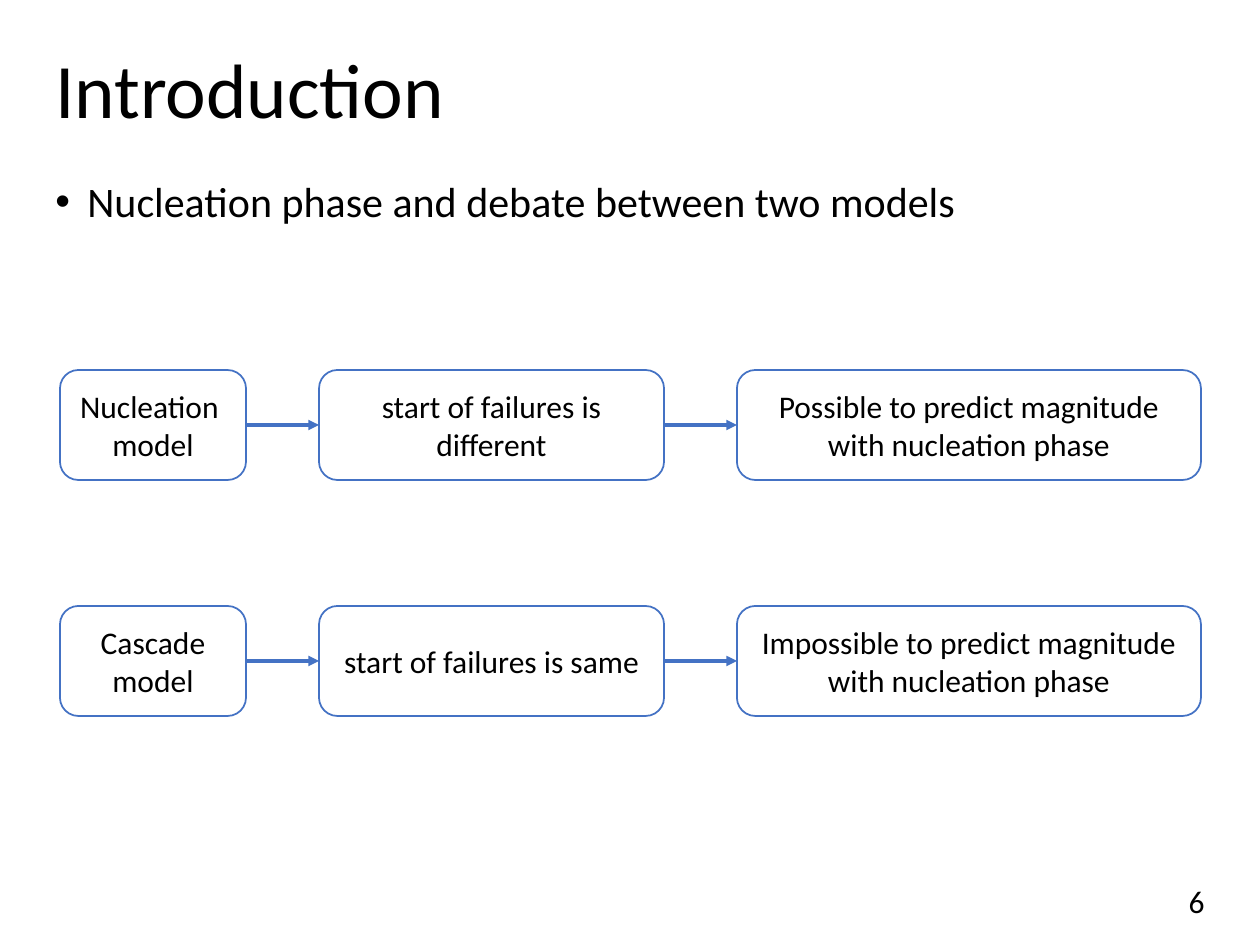
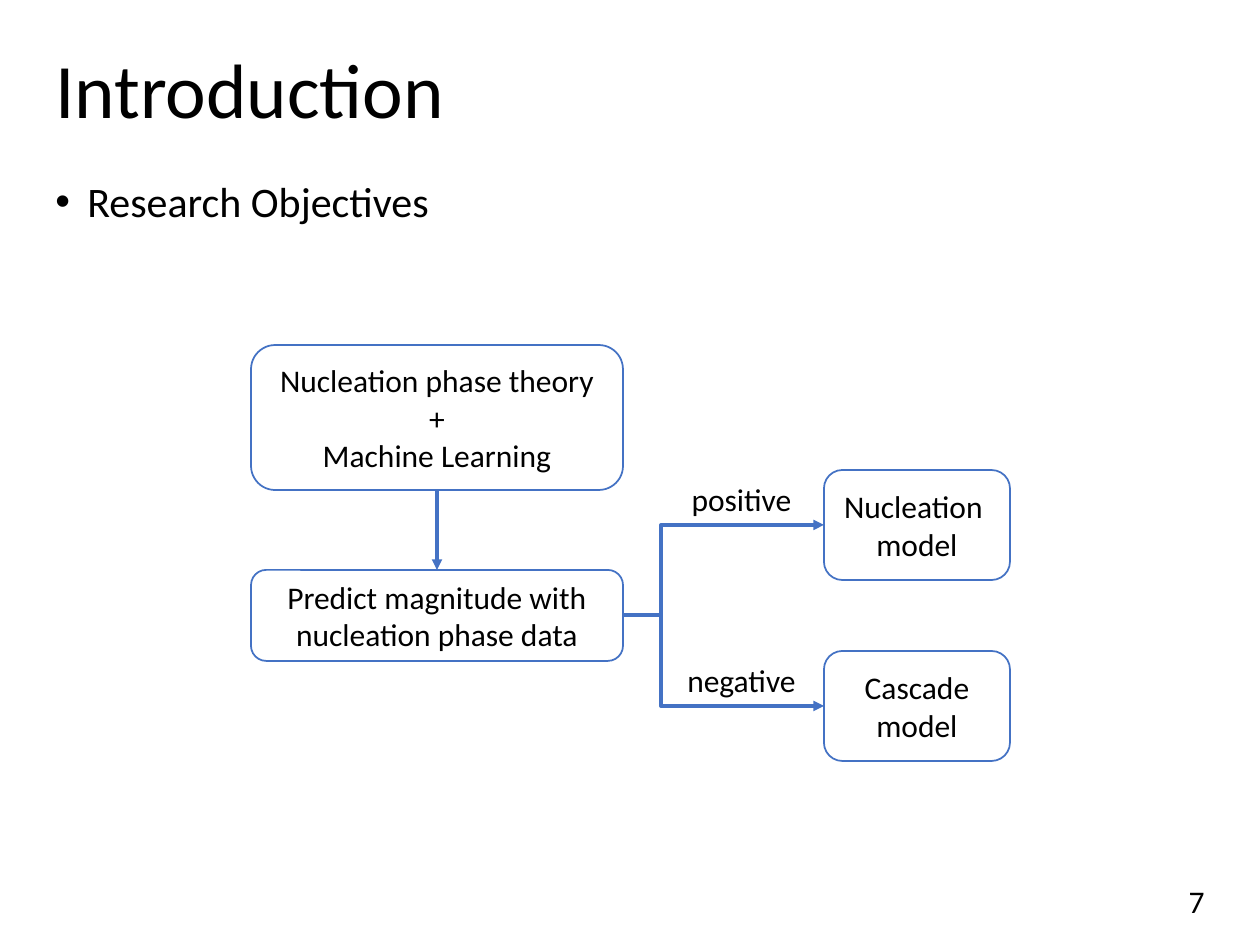
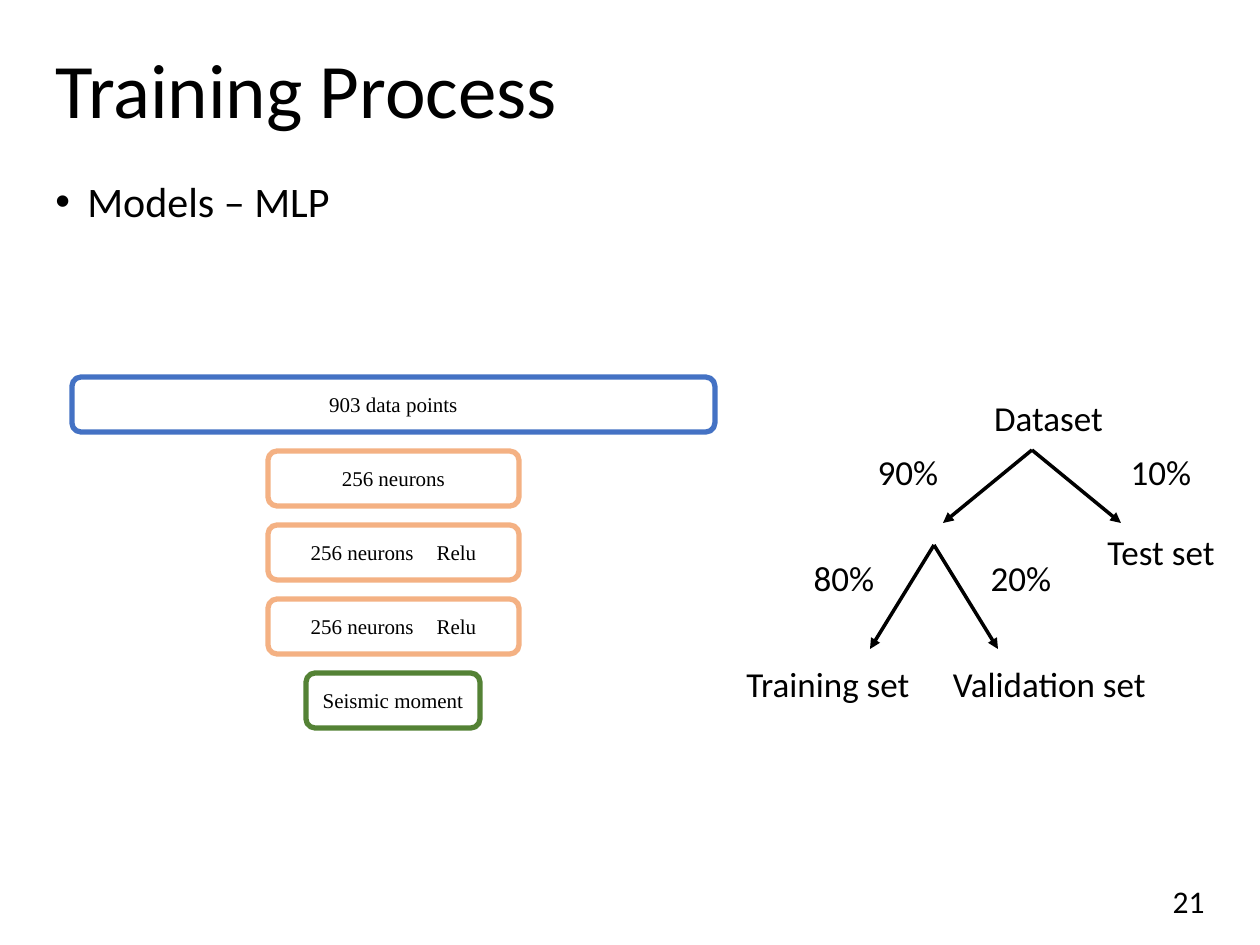
from lxml.etree import SubElement
from pptx import Presentation
from pptx.dml.color import RGBColor
from pptx.enum.shapes import MSO_CONNECTOR, MSO_SHAPE
from pptx.enum.text import MSO_ANCHOR, PP_ALIGN
from pptx.oxml.ns import qn
from pptx.util import Pt

SCALE = 914400 / 126
COLORS = {
    "text": "000000",
    "fill": "FFFFFF",
    "blue": "4472C4",
    "orange": "F4B183",
    "green": "548235",
}
BODY_FONT = "Calibri"
LAYER_FONT = "Times New Roman"
MODELS = ("Nucleation \nmodel", "Cascade\nmodel")
BOX_H = 110


def px(value):
    return round(value * SCALE)


def rgb(name):
    return RGBColor.from_string(COLORS[name])


def set_text(sp, text, size, font=BODY_FONT, align=PP_ALIGN.CENTER,
             anchor=MSO_ANCHOR.MIDDLE, spacing=None):
    tf = sp.text_frame
    tf.word_wrap = True
    tf.vertical_anchor = anchor
    tf.text = text
    for p in tf.paragraphs:
        p.alignment = align
        p.line_spacing = spacing
        for r in p.runs:
            r.font.size = Pt(size)
            r.font.name = font
            r.font.color.rgb = rgb("text")


def add_text(s, box, text, size, **style):
    sp = s.shapes.add_textbox(*map(px, box))
    set_text(sp, text, size, **style)
    return sp


def add_box(s, box, text, size=18, color="blue", width=1, font=BODY_FONT):
    sp = s.shapes.add_shape(MSO_SHAPE.ROUNDED_RECTANGLE, *map(px, box))
    sp.shadow.inherit = False
    sp.fill.solid()
    sp.fill.fore_color.rgb = rgb("fill")
    sp.line.color.rgb = rgb(color)
    sp.line.width = Pt(width)
    set_text(sp, text, size, font)
    return sp


def add_arrow(s, start, end, color="blue", bend=None):
    kind = MSO_CONNECTOR.STRAIGHT if bend is None else MSO_CONNECTOR.ELBOW
    c = s.shapes.add_connector(kind, *map(px, start + end))
    c.line.color.rgb = rgb(color)
    c.line.width = Pt(2)
    spPr = c._element.spPr
    SubElement(spPr.find(qn("a:ln")), qn("a:tailEnd"), type="triangle")
    SubElement(spPr, qn("a:effectLst"))
    if bend is not None:
        avLst = spPr.find(qn("a:prstGeom")).find(qn("a:avLst"))
        SubElement(avLst, qn("a:gd"), name="adj1", fmla=f"val {bend}")


def add_bullet(s, box, text):
    sp = add_text(s, box, text, 24, align=PP_ALIGN.LEFT,
                  anchor=MSO_ANCHOR.TOP, spacing=0.9)
    pPr = sp.text_frame.paragraphs[0]._p.get_or_add_pPr()
    pPr.set("marL", str(px(32)))
    pPr.set("indent", str(px(-32)))
    SubElement(pPr, qn("a:buFont"), typeface="Arial")
    SubElement(pPr, qn("a:buChar"), char="•")


def add_base(prs, title, bullet, number):
    s = prs.slides.add_slide(prs.slide_layouts[6])
    add_text(s, (43, 31, 1174, 125), title, 44, align=PP_ALIGN.LEFT, spacing=0.9)
    add_bullet(s, (43, 175, 1174, 677), bullet)
    add_text(s, (1113, 876, 104, 50), number, 18, align=PP_ALIGN.RIGHT)
    return s


def add_chain(s, x, y, texts):
    gap = 73
    mid = y + BOX_H // 2
    for i, (text, w) in enumerate(zip(texts, (186, 345, 464))):
        if i:
            add_arrow(s, (x - gap, mid), (x, mid))
        add_box(s, (x, y, w, BOX_H), text)
        x += w + gap


def add_objectives(s, x, y):
    w, predict_y = 372, y + 225
    outcome_x = x + 573
    add_box(s, (x, y, w, 145), "Nucleation phase theory\n+\nMachine Learning")
    add_box(s, (x, predict_y, w, 91),
            "Predict magnitude with nucleation phase data")
    add_arrow(s, (x + w // 2, y + 145), (x + w // 2, predict_y))
    for i, (model, result) in enumerate(zip(MODELS, ("positive", "negative"))):
        top = y + 125 + i * 181
        add_box(s, (outcome_x, top, 186, BOX_H), model)
        add_arrow(s, (x + w, predict_y + 45),
                  (outcome_x, top + BOX_H // 2), bend=18900)
        add_text(s, (x + 423, top + 4, 135, 50), result, 18)


def add_layers(s, x, y, w):
    layers = [
        ("903 data points", w, "blue"),
        ("256 neurons", 251, "orange"),
        ("256 neurons\tRelu", 251, "orange"),
        ("256 neurons\tRelu", 251, "orange"),
        ("Seismic moment", 174, "green"),
    ]
    for i, (text, layer_w, color) in enumerate(layers):
        sp = add_box(s, (x + (w - layer_w) // 2, y + i * 74, layer_w, 55),
                     text, 12, color, 3, LAYER_FONT)
        if "\t" in text:
            pPr = sp.text_frame.paragraphs[0]._p.get_or_add_pPr()
            tabLst = SubElement(pPr, qn("a:tabLst"))
            SubElement(tabLst, qn("a:tab"), pos=str(px(126)), algn="l")


def add_split_tree(s, x, y):
    labels = [
        ("Dataset", 254, 0, 161),
        ("90%", 144, 55, 100),
        ("10%", 397, 55, 100),
        ("Test set", 368, 134, 158),
        ("80%", 80, 160, 100),
        ("20%", 257, 160, 100),
        ("Training set", 0, 266, 228),
        ("Validation set", 202, 266, 267),
    ]
    forks = [(318, 61, 89, 73), (220, 156, 64, 104)]
    for text, dx, dy, w in labels:
        add_text(s, (x + dx, y + dy, w, 56), text, 20)
    for dx, dy, reach, drop in forks:
        for side in (-1, 1):
            add_arrow(s, (x + dx, y + dy),
                      (x + dx + side * reach, y + dy + drop), "text")


def main():
    prs = Presentation()
    prs.slide_width, prs.slide_height = px(1260), px(945)

    s = add_base(prs, "Introduction",
                 "Nucleation phase and debate between two models", "6")
    claims = [
        ("start of failures is different",
         "Possible to predict magnitude with nucleation phase"),
        ("start of failures is same",
         "Impossible to predict magnitude with nucleation phase"),
    ]
    for i, (model, claim) in enumerate(zip(MODELS, claims)):
        add_chain(s, 60, 370 + i * 236, (model, *claim))

    s = add_base(prs, "Introduction", "Research Objectives", "7")
    add_objectives(s, 251, 345)

    s = add_base(prs, "Training Process", "Models – MLP", "21")
    add_layers(s, 72, 377, 643)
    add_split_tree(s, 714, 389)

    prs.save("out.pptx")


if __name__ == "__main__":
    main()
